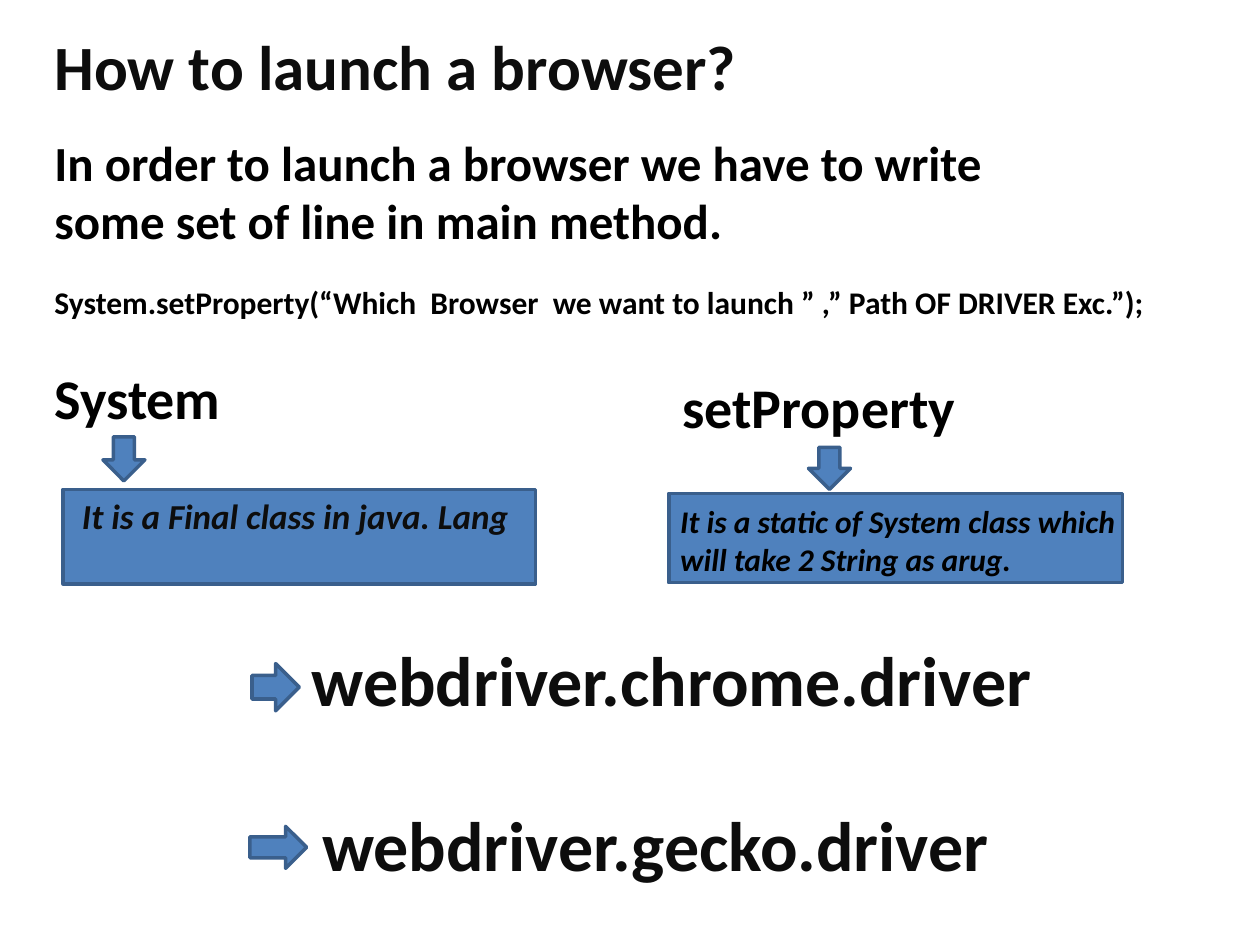
from pptx import Presentation
from pptx.dml.color import RGBColor
from pptx.enum.shapes import MSO_SHAPE as Shape
from pptx.enum.text import MSO_ANCHOR as Anchor, PP_ALIGN as Align
from pptx.util import Inches, Pt

COLUMNS, ROWS = 120, 90
WIDTH, HEIGHT = Inches(10), Inches(7.5)
COLORS = {"black": "000000", "ink": "0D0D0D", "blue": "4F81BD", "edge": "3A5F8C"}
MARGIN = 4


def color(name):
    return RGBColor.from_string(COLORS[name])


def place(column, row, columns, rows):
    """Turn grid units into slide lengths."""
    return (round(column * WIDTH / COLUMNS), round(row * HEIGHT / ROWS),
            round(columns * WIDTH / COLUMNS), round(rows * HEIGHT / ROWS))


def write(frame, wording, size, ink="black", italic=False):
    frame.word_wrap = True
    paragraph = frame.paragraphs[0]
    run = paragraph.add_run()
    run.text = wording
    font = run.font
    font.name, font.size = "Calibri", Pt(size)
    font.bold, font.italic = True, italic
    font.color.rgb = color(ink)
    return paragraph


def add_text(slide, cell, wording, size, ink="black", italic=False):
    box = slide.shapes.add_textbox(*place(*cell))
    write(box.text_frame, wording, size, ink, italic)


def add_blue_shape(slide, kind, cell):
    shape = slide.shapes.add_shape(kind, *place(*cell))
    shape.shadow.inherit = False
    shape.fill.solid()
    shape.fill.fore_color.rgb = color("blue")
    shape.line.color.rgb = color("edge")
    shape.line.width = Pt(2)
    return shape


def add_introduction(slide):
    add_text(slide, (MARGIN, 2, 68, 8), "How to launch a browser?", 36, "ink")
    add_text(slide, (MARGIN, 12, 94, 12),
             "In order to launch a browser we have to write "
             "some set of line in main method.", 28)
    add_text(slide, (MARGIN, 26.4, 111, 5),
             "System.setProperty(“Which  Browser  we want to launch ” ,"
             "” Path OF DRIVER Exc.”);", 18)


def add_system_column(slide):
    add_text(slide, (MARGIN, 34, 29, 7.7), "System", 32)
    add_blue_shape(slide, Shape.DOWN_ARROW, (9.8, 41.6, 4, 4.2))
    panel = add_blue_shape(slide, Shape.RECTANGLE, (6, 46.6, 45, 9))
    frame = panel.text_frame
    frame.vertical_anchor = Anchor.TOP
    frame.margin_top = Inches(0.04)
    meaning = write(frame, "It is a Final class in java. Lang ", 20, "ink", True)
    meaning.alignment = Align.CENTER


def add_set_property_column(slide):
    add_text(slide, (63.8, 34.9, 29, 7.7), "setProperty", 32)
    add_blue_shape(slide, Shape.DOWN_ARROW, (77, 42.6, 4, 4))
    add_blue_shape(slide, Shape.RECTANGLE, (63.7, 47, 43.2, 8.5))
    # The wording is slightly wider than its panel allows, so it has its own box.
    add_text(slide, (63.6, 47.2, 47.2, 8.5),
             "It is a static of System class which "
             "will take 2 String as arug.", 18, italic=True)


def add_driver_key(slide, arrow_cell, text_cell, key):
    add_blue_shape(slide, Shape.RIGHT_ARROW, arrow_cell)
    add_text(slide, text_cell, key, 40, "ink")


def main():
    deck = Presentation()
    deck.slide_width, deck.slide_height = WIDTH, HEIGHT
    slide = deck.slides.add_slide(deck.slide_layouts[6])
    add_introduction(slide)
    add_system_column(slide)
    add_set_property_column(slide)
    add_driver_key(slide, (24, 63.2, 4.5, 4.5), (28.5, 60, 75.5, 9.2),
                   "webdriver.chrome.driver")
    add_driver_key(slide, (23.8, 78.7, 5.4, 4), (29.5, 75.7, 68, 9.2),
                   "webdriver.gecko.driver")
    deck.save("out.pptx")


if __name__ == "__main__":
    main()
